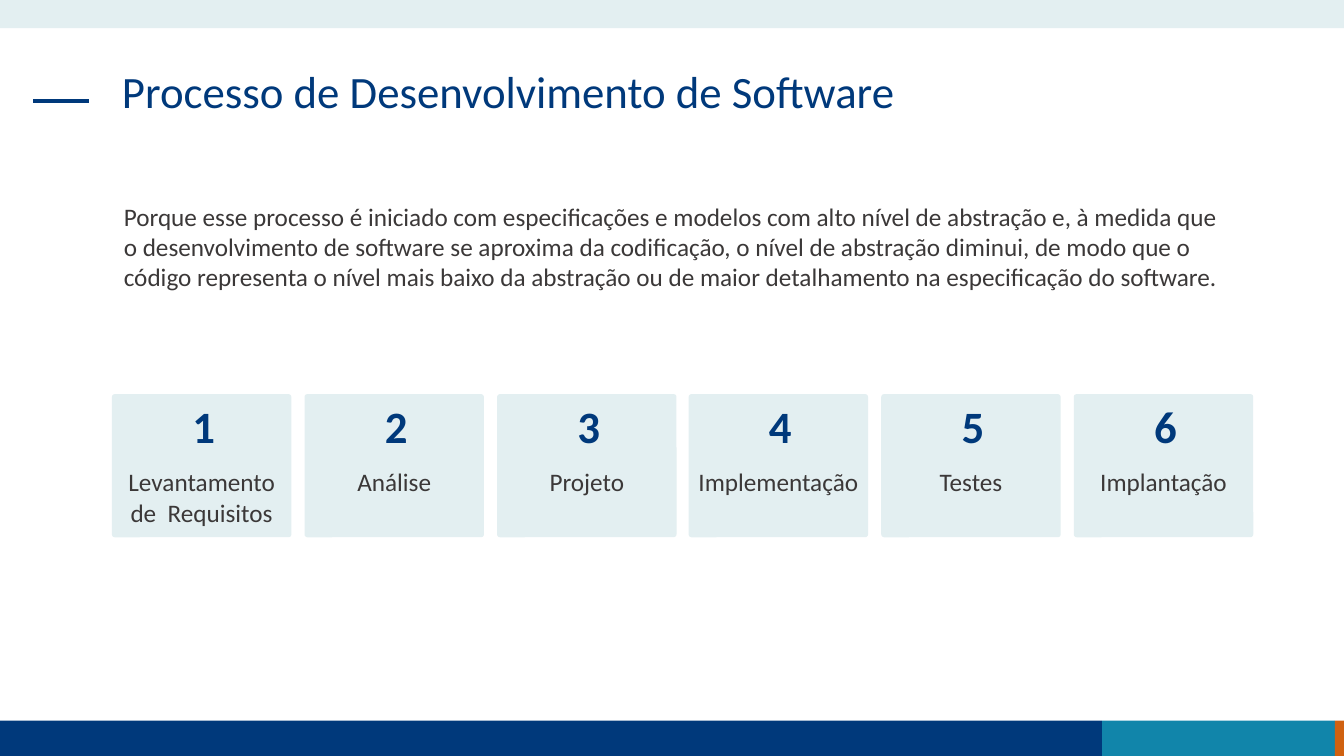
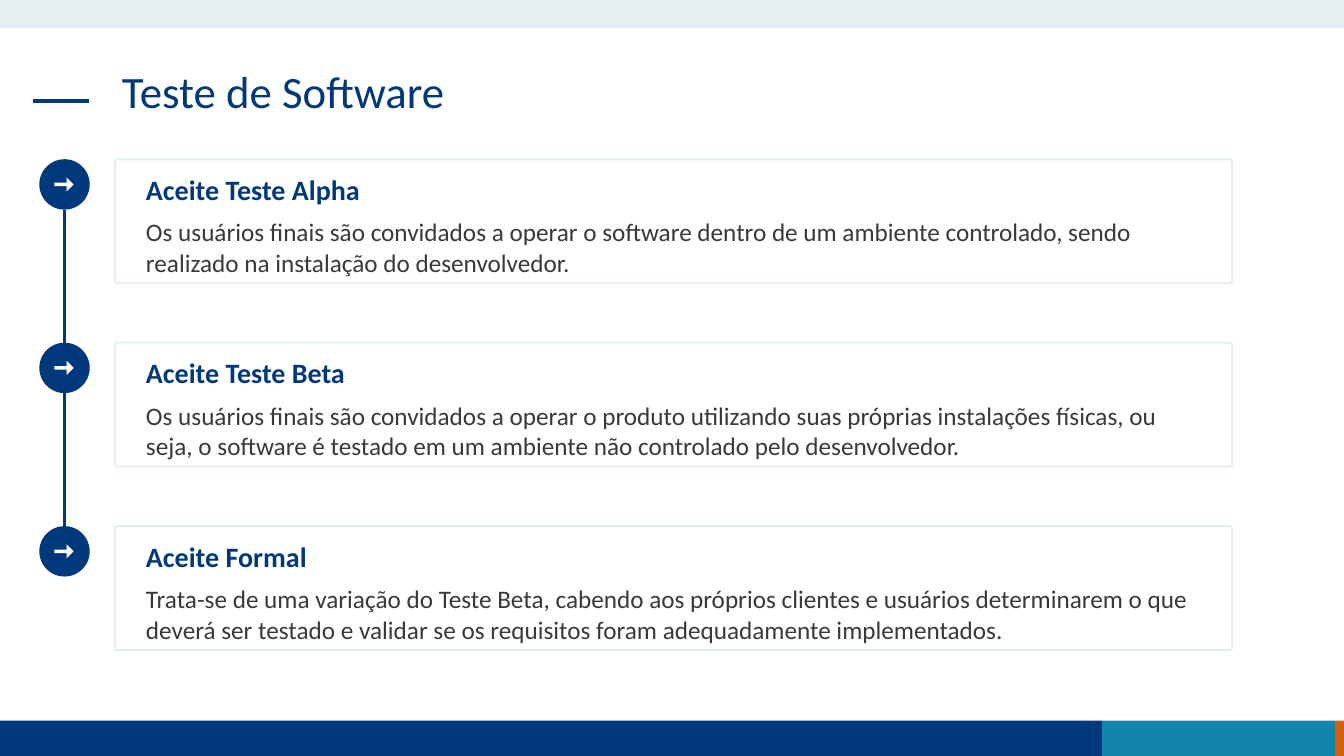
from dataclasses import dataclass

from lxml import etree
from pptx import Presentation
from pptx.dml.color import RGBColor
from pptx.enum.shapes import MSO_CONNECTOR, MSO_SHAPE
from pptx.enum.text import MSO_ANCHOR, PP_ALIGN
from pptx.oxml.ns import qn
from pptx.util import Pt

EMU_PER_PX = 9144
RECT, ROUND_RECT = MSO_SHAPE.RECTANGLE, MSO_SHAPE.ROUNDED_RECTANGLE
CIRCLE, ARROW = MSO_SHAPE.OVAL, MSO_SHAPE.RIGHT_ARROW
STRAIGHT = MSO_CONNECTOR.STRAIGHT
TOP, MIDDLE = MSO_ANCHOR.TOP, MSO_ANCHOR.MIDDLE
LEFT, CENTER = PP_ALIGN.LEFT, PP_ALIGN.CENTER
TITLE_ONLY = 5


@dataclass(frozen=True)
class Theme:
    """Colours, font and type sizes shared by the slides."""
    navy: str = "00397B"
    teal: str = "1185AA"
    orange: str = "D06110"
    pale: str = "E3EFF1"
    white: str = "FFFFFF"
    ink: str = "3B3838"
    font: str = "Calibri"
    title_size: int = 32
    heading_size: int = 20
    body_size: int = 18
    rule_width: float = 3
    line_width: float = 1.5


def px(*lengths):
    """Turn px lengths into EMU."""
    return [length * EMU_PER_PX for length in lengths]


class Deck:
    """Draws themed elements on the current slide."""

    def __init__(self, theme):
        """Start an empty widescreen presentation."""
        self.theme = theme
        self.file = Presentation()
        self.file.slide_width, self.file.slide_height = px(1333, 750)
        self.slide = None

    def new_slide(self, title):
        """Add a slide with its title, bands and title rule."""
        theme = self.theme
        self.slide = self.file.slides.add_slide(self.file.slide_layouts[TITLE_ONLY])
        bands = [
            (0, 0, 1333, 28, theme.pale),
            (0, 715, 1093, 35, theme.navy),
            (1093, 715, 231, 35, theme.teal),
            (1324, 715, 9, 35, theme.orange),
        ]
        for *box, color in bands:
            self.shape(RECT, box, fill=color)
        self.line((33, 100), (88, 100), theme.rule_width)
        heading = self.slide.shapes.title
        heading.left, heading.top, heading.width, heading.height = px(111, 64, 1110, 94)
        self.set_text(heading, title, theme.title_size, theme.navy)
        heading.text_frame.paragraphs[0].line_spacing = 0.9

    def shape(self, kind, box, fill=None, outline=None, adjustments=()):
        """Add a flat preset shape."""
        shape = self.slide.shapes.add_shape(kind, *px(*box))
        shape.shadow.inherit = False
        if fill:
            shape.fill.solid()
            shape.fill.fore_color.rgb = RGBColor.from_string(fill)
        else:
            shape.fill.background()
        if outline:
            shape.line.color.rgb = RGBColor.from_string(outline)
            shape.line.width = Pt(self.theme.line_width)
        else:
            shape.line.fill.background()
        for index, value in enumerate(adjustments):
            shape.adjustments[index] = value

    def line(self, start, end, width):
        """Add a straight navy line."""
        line = self.slide.shapes.add_connector(STRAIGHT, *px(*start, *end))
        line.line.color.rgb = RGBColor.from_string(self.theme.navy)
        line.line.width = Pt(width)
        etree.SubElement(line._element.spPr, qn("a:effectLst"))

    def text(self, box, content, size, color, bold=False, align=LEFT, anchor=TOP, inset=10):
        """Add a wrapping text box."""
        textbox = self.slide.shapes.add_textbox(*px(*box))
        self.set_text(textbox, content, size, color, bold, align, anchor, inset)

    def set_text(self, holder, content, size, color, bold=False, align=LEFT, anchor=TOP,
                 inset=10):
        """Fill a text holder with one formatted paragraph."""
        frame = holder.text_frame
        frame.text = content
        frame.word_wrap = True
        frame.vertical_anchor = anchor
        frame.margin_left, frame.margin_right = px(inset, inset)
        paragraph = frame.paragraphs[0]
        paragraph.alignment = align
        for run in paragraph.runs:
            run.font.name = self.theme.font
            run.font.size = Pt(size)
            run.font.bold = bold
            run.font.color.rgb = RGBColor.from_string(color)

    def step_card(self, left, number, label):
        """Add a numbered process step."""
        theme = self.theme
        self.shape(ROUND_RECT, (left, 391, 178, 142), fill=theme.pale, adjustments=[0.02])
        self.text((left + 13, 391, 156, 64), str(number), theme.title_size, theme.navy,
                  bold=True, align=CENTER)
        self.text((left, 458, 178, 71), label, theme.body_size, theme.ink,
                  align=CENTER, inset=5)

    def timeline_card(self, top, heading, description):
        """Add an arrow marker with its outlined card."""
        theme = self.theme
        self.shape(CIRCLE, (39, top, 50, 50), fill=theme.navy)
        self.shape(ARROW, (54, top + 18, 19, 14), fill=theme.white, adjustments=[0.25, 0.5])
        self.shape(ROUND_RECT, (114, top, 1108, 123), outline=theme.pale, adjustments=[0.02])
        self.text((135, top + 8, 1054, 44), heading, theme.heading_size, theme.navy, bold=True)
        self.text((135, top + 52, 1054, 71), description, theme.body_size, theme.ink)


def process_slide(deck):
    """Build the development process slide."""
    deck.new_slide("Processo de Desenvolvimento de Software")
    deck.text(
        (113, 194, 1110, 101),
        "Porque esse processo é iniciado com especificações e modelos com alto nível de "
        "abstração e, à medida que o desenvolvimento de software se aproxima da codificação, "
        "o nível de abstração diminui, de modo que o código representa o nível mais baixo da "
        "abstração ou de maior detalhamento na especificação do software.",
        deck.theme.body_size, deck.theme.ink, anchor=MIDDLE)
    steps = ["Levantamento de  Requisitos", "Análise", "Projeto",
             "Implementação", "Testes", "Implantação"]
    first_left, last_left = 111, 1065
    pitch = (last_left - first_left) / (len(steps) - 1)
    for index, label in enumerate(steps):
        deck.step_card(round(first_left + index * pitch), index + 1, label)


def testing_slide(deck):
    """Build the acceptance testing slide."""
    deck.new_slide("Teste de Software")
    tests = [
        ("Aceite Teste Alpha",
         "Os usuários finais são convidados a operar o software dentro de um ambiente "
         "controlado, sendo realizado na instalação do desenvolvedor."),
        ("Aceite Teste Beta",
         "Os usuários finais são convidados a operar o produto utilizando suas próprias "
         "instalações físicas, ou seja, o software é testado em um ambiente não controlado "
         "pelo desenvolvedor."),
        ("Aceite Formal",
         "Trata-se de uma variação do Teste Beta, cabendo aos próprios clientes e usuários "
         "determinarem o que deverá ser testado e validar se os requisitos foram "
         "adequadamente implementados."),
    ]
    first_top, pitch = 158, 182
    for index, (heading, description) in enumerate(tests):
        top = first_top + index * pitch
        deck.timeline_card(top, heading, description)
        if index:
            deck.line((64, top - pitch + 50), (64, top), deck.theme.line_width)


def main():
    """Build and save the presentation."""
    deck = Deck(Theme())
    process_slide(deck)
    testing_slide(deck)
    deck.file.save("out.pptx")


if __name__ == "__main__":
    main()
